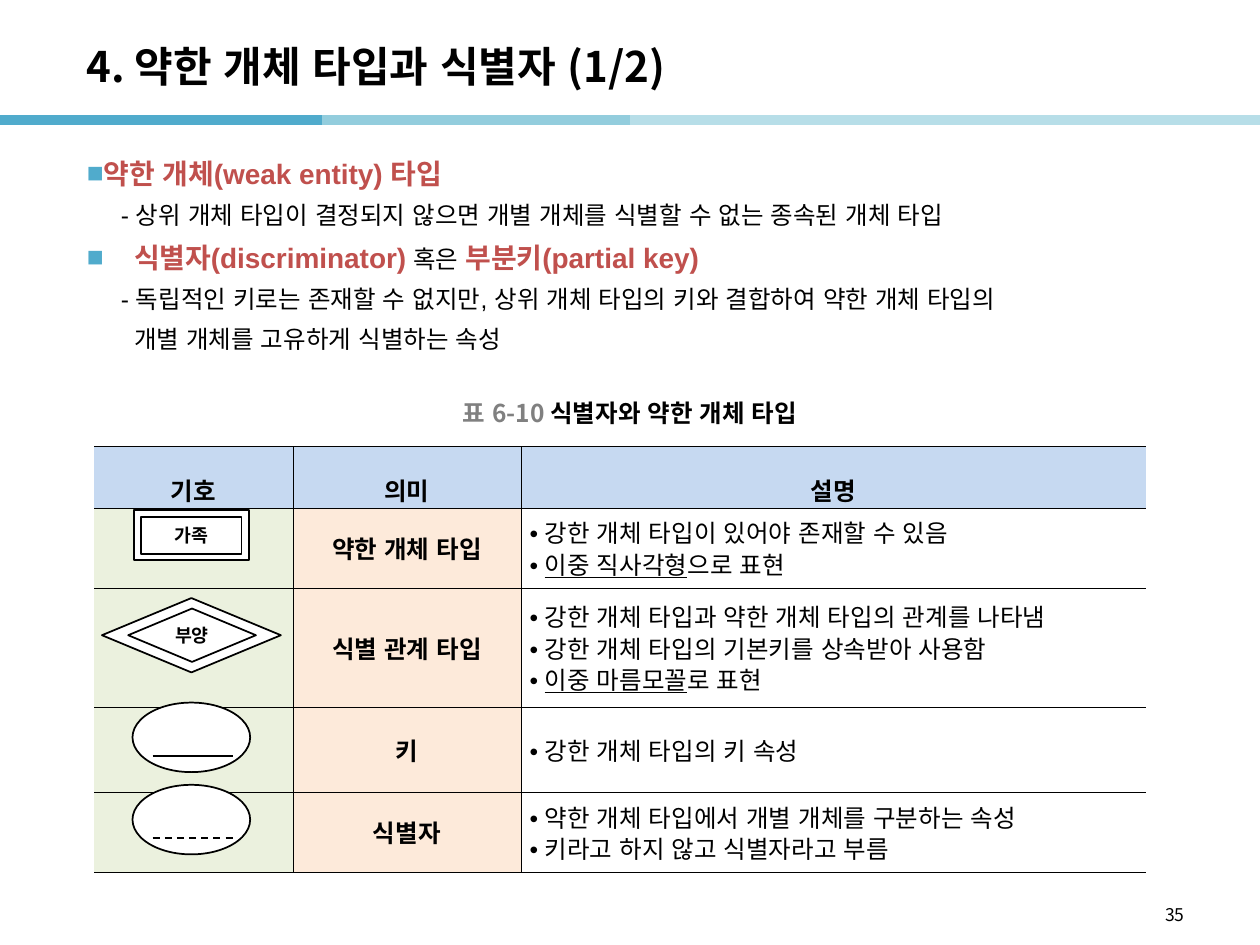
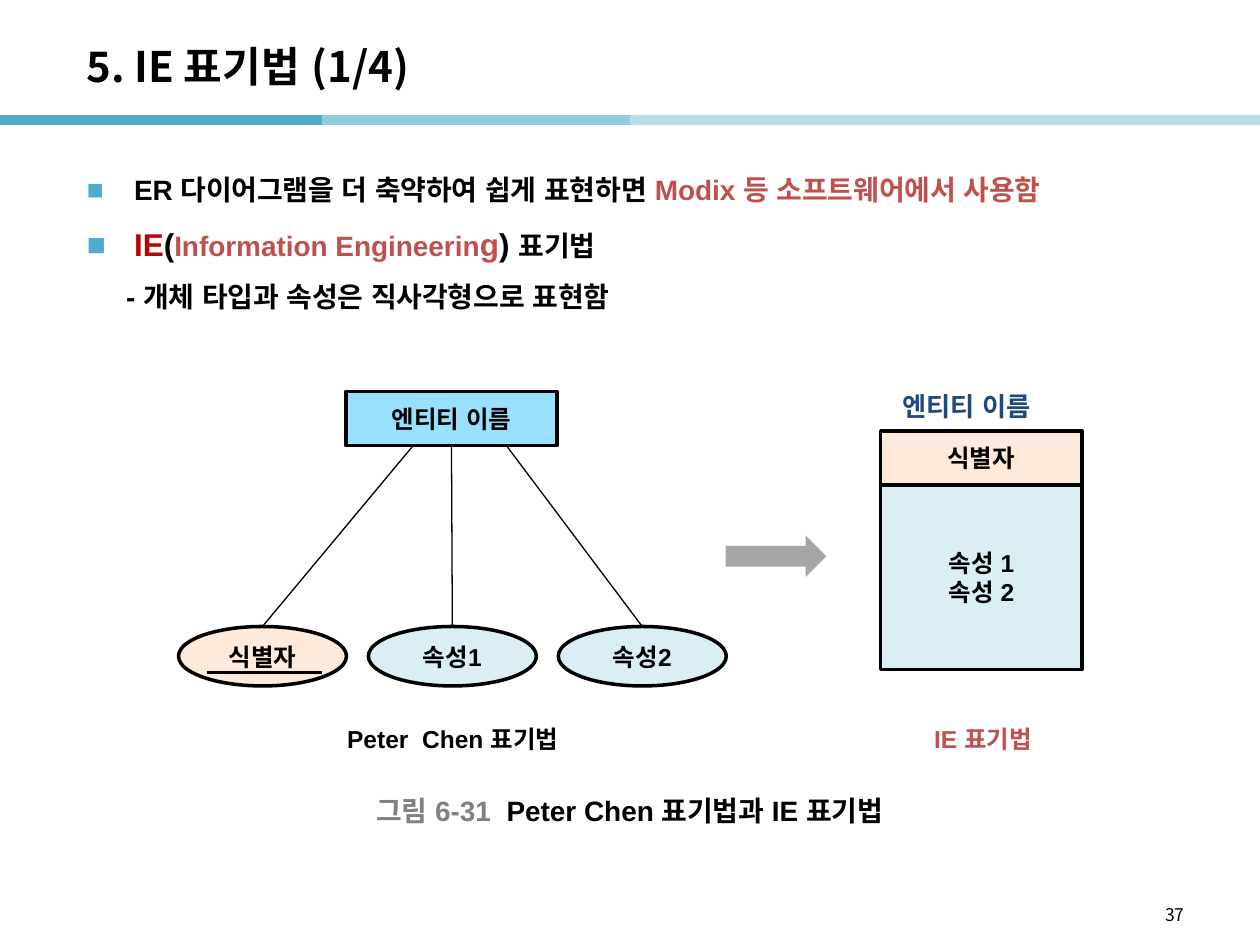
import pptx
import pptx.util
import pptx.dml.color
import pptx.enum.dml
import pptx.enum.shapes
import pptx.enum.text
import pptx.oxml
import pptx.oxml.ns
from lxml import etree

Pt = pptx.util.Pt
RGBColor = pptx.dml.color.RGBColor
Preset = pptx.enum.shapes.MSO_SHAPE
Align = pptx.enum.text.PP_ALIGN
Anchor = pptx.enum.text.MSO_ANCHOR
qn = pptx.oxml.ns.qn

# Shared colours and fonts
BLACK = RGBColor(0x00, 0x00, 0x00)
WHITE = RGBColor(0xFF, 0xFF, 0xFF)
GRAY = RGBColor(0x80, 0x80, 0x80)
ARROW_GRAY = RGBColor(0xA6, 0xA6, 0xA6)
RED = RGBColor(0xC0, 0x50, 0x4D)
DARK_RED = RGBColor(0xC0, 0x00, 0x00)
NAVY = RGBColor(0x1F, 0x49, 0x7D)
TEAL = RGBColor(0x50, 0xAB, 0xCC)
MID_TEAL = RGBColor(0x93, 0xCD, 0xDD)
LIGHT_TEAL = RGBColor(0xB7, 0xDE, 0xE8)
HEADER_BLUE = RGBColor(0xC6, 0xD9, 0xF1)
GREEN = RGBColor(0xEB, 0xF1, 0xDE)
PEACH = RGBColor(0xFD, 0xEA, 0xDA)
PALE_BLUE = RGBColor(0xDB, 0xEE, 0xF4)
ENTITY_BLUE = RGBColor(0x97, 0xE1, 0xFF)
KOREAN_FONT = "Noto Sans CJK KR"
LATIN_FONT = "Arial"

BASE = {"size": 14, "bold": True, "name": LATIN_FONT, "color": BLACK}
KOREAN = {"name": KOREAN_FONT}
PLAIN = {"bold": False}
KEYWORD = {"size": 16, "color": RED}


def write(frame, paragraphs, font=None, layout=None):
    """Fill a frame; each paragraph is (runs, layout), each run (text, font)."""
    for index, (runs, own_layout) in enumerate(paragraphs):
        paragraph = frame.paragraphs[0] if index == 0 else frame.add_paragraph()
        settings = {**(layout or {}), **own_layout}
        properties = paragraph._p.get_or_add_pPr()
        properties.set("marL", str(Pt(settings.pop("margin", 0))))
        properties.set("indent", str(Pt(settings.pop("indent", 0))))
        bullet = settings.pop("bullet", None)
        if bullet:
            symbol, color = bullet
            bullet_color = etree.SubElement(properties, qn("a:buClr"))
            etree.SubElement(bullet_color, qn("a:srgbClr"), val=str(color))
            etree.SubElement(properties, qn("a:buFont"), typeface=LATIN_FONT)
            etree.SubElement(properties, qn("a:buChar"), char=symbol)
        else:
            etree.SubElement(properties, qn("a:buNone"))
        for name, value in settings.items():
            setattr(paragraph, name, value)
        for text, own_font in runs:
            run = paragraph.add_run()
            run.text = text
            values = {**BASE, **(font or {}), **own_font}
            run.font.color.rgb = values.pop("color")
            values["size"] = Pt(values["size"])
            for name, value in values.items():
                setattr(run.font, name, value)
            etree.SubElement(run._r.get_or_add_rPr(), qn("a:ea"), typeface=LATIN_FONT)


def add_box(slide, preset, box, paragraphs=(), font=None, layout=None,
            fill=WHITE, line=1, anchor=Anchor.MIDDLE, wrap=True):
    """Add a preset shape, or a text box when preset is None."""
    place = [Pt(length) for length in box]
    if preset is None:
        shape = slide.shapes.add_textbox(*place)
    else:
        shape = slide.shapes.add_shape(preset, *place)
        shape.shadow.inherit = False
        shape.fill.solid()
        shape.fill.fore_color.rgb = fill
        if line:
            shape.line.color.rgb = BLACK
            shape.line.width = Pt(line)
        else:
            shape.line.fill.background()
        for side in ("left", "right", "top", "bottom"):
            setattr(shape.text_frame, f"margin_{side}", 0)
    shape.text_frame.word_wrap = wrap
    shape.text_frame.vertical_anchor = anchor
    write(shape.text_frame, paragraphs, font, layout)


CENTER = {"alignment": Align.CENTER}
SQUARE = {"bullet": ("■", TEAL), "indent": -27}
DOT = {"bullet": ("•", BLACK), "margin": 8.5, "indent": -8.5}

presentation = pptx.Presentation()
presentation.slide_width = Pt(720)
presentation.slide_height = Pt(540)

# Title, bands and page number of both slides
slides = []
lines = []  # slide, x1, y1, x2, y2, color, width, dashed
for title, page in (("4. 약한 개체 타입과 식별자 (1/2)", "35"), ("5. IE 표기법 (1/4)", "37")):
    slide = presentation.slides.add_slide(presentation.slide_layouts[6])
    slides.append(slide)
    for start, end, color in ((0, 184, TEAL), (184, 360, MID_TEAL), (360, 720, LIGHT_TEAL)):
        lines.append((slide, start, 68.5, end, 68.5, color, 6, False))
    add_box(slide, None, (42.5, 16, 595.5, 43), [([(title, {})], {})],
            {**KOREAN, "size": 24})
    add_box(slide, None, (516, 513.25, 168, 20), [([(page, {})], {})],
            {**KOREAN, **PLAIN, "size": 10}, {"alignment": Align.RIGHT}, anchor=Anchor.TOP)
weak_slide, notation_slide = slides

# Weak entity slide: definitions
definitions = [
    ([("약한 개체(weak entity) 타입", KEYWORD)], SQUARE),
    ([("- 상위 개체 타입이 결정되지 않으면 개별 개체를 식별할 수 없는 종속된 개체 타입", PLAIN)],
     {"margin": 19.5}),
    ([("식별자(discriminator)", KEYWORD), (" 혹은 ", PLAIN), ("부분키(partial key)", KEYWORD)],
     {**SQUARE, "margin": 27}),
    ([("- 독립적인 키로는 존재할 수 없지만, 상위 개체 타입의 키와 결합하여 약한 개체 타입의", PLAIN)],
     {"margin": 19.5}),
    ([("개별 개체를 고유하게 식별하는 속성", PLAIN)], {"margin": 27}),
]
add_box(weak_slide, None, (42.5, 85.7, 635, 125), definitions, anchor=Anchor.TOP,
        layout={"line_spacing": 1.0, "space_after": Pt(6)})
add_box(weak_slide, None, (240, 224.75, 240, 22.5),
        [([("표 6-10 ", {"color": GRAY}), ("식별자와 약한 개체 타입", {})], {})],
        KOREAN, CENTER)

# Weak entity slide: table of symbols, each description a list of run texts
UNDERLINED = {"underline": True}
table_rows = [
    ("약한 개체 타입", [[("강한 개체 타입이 있어야 존재할 수 있음", {})],
                  [("이중 직사각형", UNDERLINED), ("으로 표현", {})]]),
    ("식별 관계 타입", [[("강한 개체 타입과 약한 개체 타입의 관계를 나타냄", {})],
                  [("강한 개체 타입의 기본키를 상속받아 사용함", {})],
                  [("이중 마름모꼴", UNDERLINED), ("로 표현", {})]]),
    ("키", [[("강한 개체 타입의 키 속성", {})]]),
    ("식별자", [[("약한 개체 타입에서 개별 개체를 구분하는 속성", {})],
             [("키라고 하지 않고 식별자라고 부름", {})]]),
]
column_widths = (113.75, 130.25, 357)
row_heights = (35.5, 45.5, 68.25, 48.75, 45.5)
table_frame = weak_slide.shapes.add_table(
    5, 3, Pt(53.75), Pt(255), Pt(sum(column_widths)), Pt(sum(row_heights)))
table = table_frame.table
table.first_row = table.horz_banding = False
for style in table_frame._element.iter(qn("a:tableStyleId")):
    style.text = "{2D5ABB26-0587-4C30-8999-92F81FD0307C}"
for column, width in zip(table.columns, column_widths):
    column.width = Pt(width)
for row, height in zip(table.rows, row_heights):
    row.height = Pt(height)

header = [[([(text, {})], {})] for text in ("기호", "의미", "설명")]
contents = [header]
for meaning, descriptions in table_rows:
    contents.append([[], [([(meaning, {})], {})], [(runs, {}) for runs in descriptions]])

for row_index, row_contents in enumerate(contents):
    for column_index, paragraphs in enumerate(row_contents):
        cell = table.cell(row_index, column_index)
        cell.vertical_anchor = Anchor.MIDDLE
        cell.margin_left = cell.margin_right = Pt(5)
        cell.margin_top = cell.margin_bottom = Pt(1.5)
        # Borders: everywhere except the outer left and right edges
        for side in "LRTB":
            if (side, column_index) in (("L", 0), ("R", 2)):
                continue
            border = etree.SubElement(cell._tc.get_or_add_tcPr(), qn(f"a:ln{side}"), w=str(Pt(0.25)))
            border_fill = etree.SubElement(border, qn("a:solidFill"))
            etree.SubElement(border_fill, qn("a:srgbClr"), val=str(BLACK))
        cell.fill.solid()
        cell.fill.fore_color.rgb = (
            HEADER_BLUE if row_index == 0 else (GREEN, PEACH, WHITE)[column_index])
        if row_index == 0:
            cell.vertical_anchor = Anchor.BOTTOM
            write(cell.text_frame, paragraphs, layout={**CENTER, "line_spacing": 1.6})
        elif column_index == 2:
            write(cell.text_frame, paragraphs, PLAIN, {**DOT, "line_spacing": Pt(18)})
        else:
            write(cell.text_frame, paragraphs, layout={**CENTER, "line_spacing": Pt(18)})

# Weak entity slide: symbols in the first column
for preset, box, label in (
    (Preset.RECTANGLE, (76.5, 291.5, 66, 28.5), ""),
    (Preset.RECTANGLE, (80.75, 295.25, 57.25, 21.25), "가족"),
    (Preset.FLOWCHART_DECISION, (58.25, 341.75, 102.25, 42.5), ""),
    (Preset.FLOWCHART_DECISION, (73.25, 347.75, 73, 30.5), "부양"),
    (Preset.OVAL, (75.75, 401.5, 67.25, 39.75), ""),
    (Preset.OVAL, (75.75, 448.5, 67.25, 39.75), ""),
):
    paragraphs = [([(label, {})], {})] if label else []
    add_box(weak_slide, preset, box, paragraphs, {**KOREAN, "size": 10.5}, CENTER)
for y, dashed in ((432, False), (478.75, True)):
    lines.append((weak_slide, 87.25, y, 133.25, y, BLACK, 1, dashed))

# Notation slide: statements
LARGE = {"size": 18}
statements = [
    ([("ER 다이어그램을 더 축약하여 쉽게 표현하면 ", {}),
      ("Modix 등 소프트웨어에서 사용함", {"color": RED})], {**SQUARE, "margin": 27}),
    ([("IE", {**LARGE, "color": DARK_RED}), ("(", LARGE),
      ("Information Engineerin", {"color": RED}), ("g", {**LARGE, "color": RED}),
      (") ", LARGE), ("표기법", {})], {**SQUARE, "margin": 27}),
    ([("- 개체 타입과 속성은 직사각형으로 표현함", {})], {"margin": 22.5}),
]
add_box(notation_slide, None, (42.5, 85.7, 641, 103.5), statements, {"size": 16},
        {"alignment": Align.JUSTIFY, "line_spacing": 1.5}, anchor=Anchor.TOP)

# Notation slide: entity boxes and attribute ellipses
for preset, box, fill, labels in (
    (Preset.RECTANGLE, (503.25, 246.25, 115, 31), PEACH, ["식별자"]),
    (Preset.RECTANGLE, (503.25, 277.25, 115, 105.5), PALE_BLUE, ["속성 1", "속성 2"]),
    (Preset.RECTANGLE, (197.75, 223.75, 120.5, 31), ENTITY_BLUE, ["엔티티 이름"]),
    (Preset.OVAL, (102, 358, 96, 34), PEACH, ["식별자"]),
    (Preset.OVAL, (210.5, 358, 96, 34), PALE_BLUE, ["속성1"]),
    (Preset.OVAL, (319, 358, 96, 34), PALE_BLUE, ["속성2"]),
):
    add_box(notation_slide, preset, box, [([(label, {})], {}) for label in labels],
            layout=CENTER, fill=fill, line=2)
add_box(notation_slide, Preset.RIGHT_ARROW, (414.75, 306, 57.5, 23.75),
        fill=ARROW_GRAY, line=0)
for x1, x2 in ((236, 150), (258, 258.5), (289.5, 367)):
    lines.append((notation_slide, x1, 254.75, x2, 358, BLACK, 0.75, False))
lines.append((notation_slide, 118.5, 384.25, 184, 384.25, BLACK, 2, False))

# Notation slide: labels and caption
add_box(notation_slide, None, (508.75, 219.75, 96, 25.5), [([("엔티티 이름", {})], {})],
        {"size": 15, "color": NAVY}, anchor=Anchor.TOP, wrap=False,
        layout={"alignment": Align.LEFT})
for box, label, color in (((505.5, 410.25, 112.5, 24.5), "IE 표기법", RED),
                          ((172, 410.25, 173.5, 24.5), "Peter  Chen 표기법", BLACK)):
    add_box(notation_slide, None, box, [([(label, {})], {})], {"color": color}, CENTER,
            anchor=Anchor.TOP)
add_box(notation_slide, None, (160, 452, 399.5, 22.5),
        [([("그림 6-31  ", {"color": GRAY}), ("Peter Chen 표기법과 IE 표기법", {})], {})],
        {"size": 16}, CENTER)

# All straight lines
for slide, x1, y1, x2, y2, color, width, dashed in lines:
    connector = slide.shapes.add_connector(
        pptx.enum.shapes.MSO_CONNECTOR.STRAIGHT, Pt(x1), Pt(y1), Pt(x2), Pt(y2))
    connector.line.color.rgb = color
    connector.line.width = Pt(width)
    if dashed:
        connector.line.dash_style = pptx.enum.dml.MSO_LINE.DASH
    etree.SubElement(connector._element.spPr, qn("a:effectLst"))

presentation.save("out.pptx")
